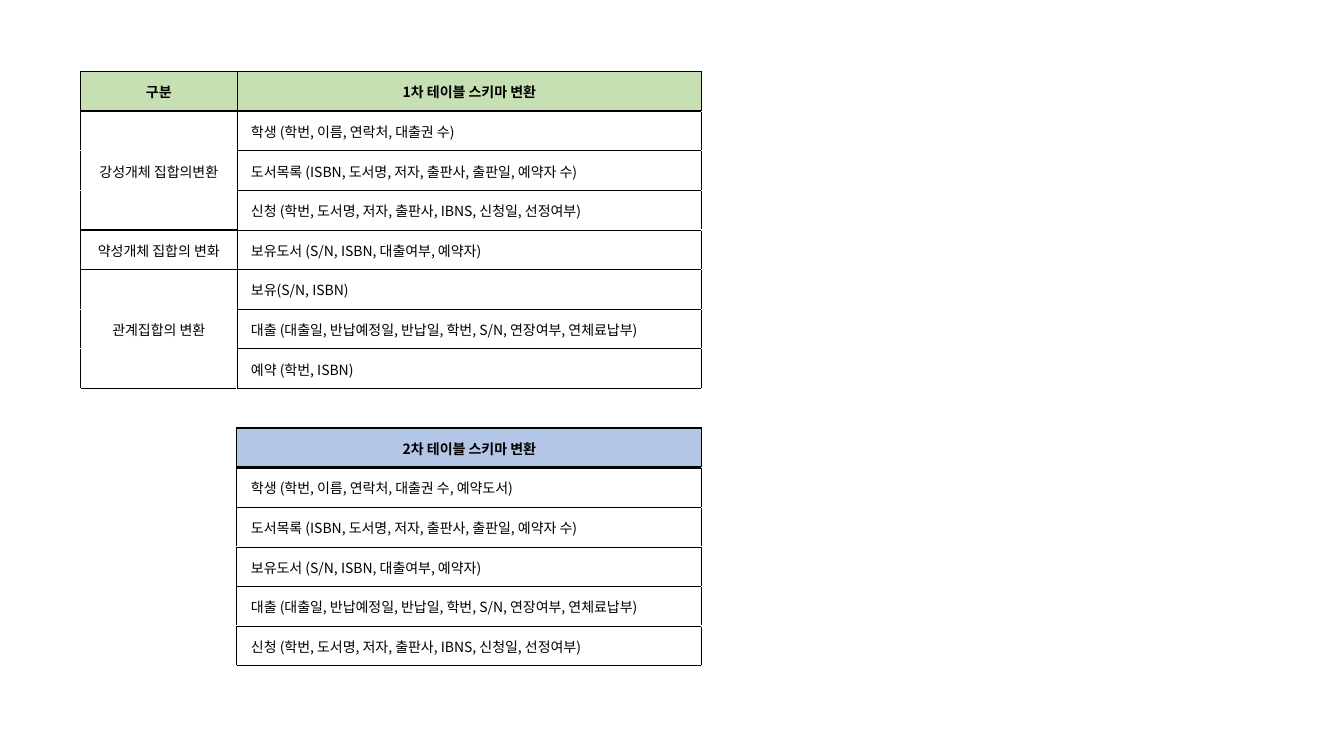
import pptx
import pptx.util
import pptx.dml.color
import pptx.enum.text
import pptx.oxml.ns
from lxml import etree
from pptx.util import Inches

FONT = "Noto Sans CJK KR"
BLACK, WHITE, GREEN, BLUE = "000000", "FFFFFF", "C6E0B4", "B4C6E7"
THIN, OUTER, HEAVY = 0.5, 1, 2
CATEGORY_COL, SCHEMA_COL = 1, 2
LEFT, TOP, WIDTH, HEIGHT = 0.13, 0.49, 7.71, 6.51
COL_WIDTHS = [0.67, 1.55, 4.61, 0.88]
ROW_COUNT, FIRST_ROW_HEIGHT = 17, 0.22

STUDENT = "학생 (학번, 이름, 연락처, 대출권 수)"
STUDENT_RESERVING = "학생 (학번, 이름, 연락처, 대출권 수, 예약도서)"
CATALOGUE = "도서목록 (ISBN, 도서명, 저자, 출판사, 출판일, 예약자 수)"
REQUEST = "신청 (학번, 도서명, 저자, 출판사, IBNS, 신청일, 선정여부)"
HOLDING = "보유도서 (S/N, ISBN, 대출여부, 예약자)"
LOAN = "대출 (대출일, 반납예정일, 반납일, 학번, S/N, 연장여부, 연체료납부)"

FIRST_SCHEMA = [
    ("강성개체 집합의변환", [STUDENT, CATALOGUE, REQUEST]),
    ("약성개체 집합의 변화", [HOLDING]),
    ("관계집합의 변환", ["보유(S/N, ISBN)", LOAN, "예약 (학번, ISBN)"]),
]
SECOND_SCHEMA = [STUDENT_RESERVING, CATALOGUE, HOLDING, LOAN, REQUEST]


def rgb(color):
    return pptx.dml.color.RGBColor.from_string(color)


def add_child(parent, tag, **attrs):
    return etree.SubElement(parent, pptx.oxml.ns.qn(tag), **attrs)


def fill_cell(cell, color):
    cell.fill.solid()
    cell.fill.fore_color.rgb = rgb(color)


def write_cell(cell, text, bold=False, centered=True):
    cell.margin_left = Inches(0.01 if centered else 0.14)
    p = cell.text_frame.paragraphs[0]
    align = pptx.enum.text.PP_ALIGN
    p.alignment = align.CENTER if centered else align.LEFT
    r = p.add_run()
    r.text = text
    r.font.size = pptx.util.Pt(10)
    r.font.bold = bold
    r.font.name = FONT
    r.font.color.rgb = rgb(BLACK)
    add_child(r.font._element, "a:ea", typeface=FONT)


def add_header(table, row, col, text, color):
    cell = table.cell(row, col)
    write_cell(cell, text, bold=True)
    fill_cell(cell, color)


def add_schemas(table, row, schemas):
    for offset, schema in enumerate(schemas):
        write_cell(table.cell(row + offset, SCHEMA_COL), schema, centered=False)


def add_category(table, row, name, count):
    cell = table.cell(row, CATEGORY_COL)
    if count > 1:
        cell.merge(table.cell(row + count - 1, CATEGORY_COL))
    write_cell(cell, name)


def set_horizontal(edges, row, cols, width):
    for col in cols:
        edges[row - 1, col]["B"] = width
        edges[row, col]["T"] = width


def set_vertical(edges, col, rows, width):
    for row in rows:
        edges[row, col - 1]["R"] = width
        edges[row, col]["L"] = width


def draw_borders(cell, sides):
    tc_pr = cell._tc.get_or_add_tcPr()
    for side in "LRTB":
        if side in sides:
            width = str(pptx.util.Pt(sides[side]))
            ln = add_child(tc_pr, "a:ln" + side, w=width)
            add_child(add_child(ln, "a:solidFill"), "a:srgbClr", val=BLACK)


def frame_grid(table):
    edges = {(r, c): {} for r in range(ROW_COUNT) for c in range(len(COL_WIDTHS))}
    both, schema = [CATEGORY_COL, SCHEMA_COL], [SCHEMA_COL]
    for row in [*range(3, 9), *range(12, 16)]:
        set_horizontal(edges, row, schema, THIN)
    for row in (5, 6):
        set_horizontal(edges, row, both, THIN)
    for row, cols, width in [(1, both, OUTER), (2, both, HEAVY), (9, both, OUTER),
                             (10, schema, OUTER), (11, schema, HEAVY), (16, schema, OUTER)]:
        set_horizontal(edges, row, cols, width)
    for col, rows, width in [(1, range(1, 9), OUTER), (2, range(1, 9), THIN),
                             (2, range(10, 16), OUTER), (3, range(1, 9), OUTER),
                             (3, range(10, 16), OUTER)]:
        set_vertical(edges, col, rows, width)
    for (row, col), sides in edges.items():
        draw_borders(table.cell(row, col), sides)


def prepare_cell(cell):
    cell.margin_left = cell.margin_top = cell.margin_right = Inches(0.01)
    cell.margin_bottom = 0
    cell.vertical_anchor = pptx.enum.text.MSO_ANCHOR.MIDDLE
    fill_cell(cell, WHITE)
    add_child(cell.text_frame.paragraphs[0]._p, "a:endParaRPr", sz="1000")


def add_grid(s):
    frame = s.shapes.add_table(ROW_COUNT, len(COL_WIDTHS), Inches(LEFT), Inches(TOP),
                               Inches(WIDTH), Inches(HEIGHT))
    table = frame.table
    table.first_row = False
    table.horz_banding = False
    for column, width in zip(table.columns, COL_WIDTHS):
        column.width = Inches(width)
    row_height = (HEIGHT - FIRST_ROW_HEIGHT) / (ROW_COUNT - 1)
    for i, row in enumerate(table.rows):
        row.height = Inches(row_height if i else FIRST_ROW_HEIGHT)
    frame_grid(table)
    for cell in table.iter_cells():
        prepare_cell(cell)
    return table


def main():
    prs = pptx.Presentation()
    prs.slide_width, prs.slide_height = Inches(13.33), Inches(7.5)
    s = prs.slides.add_slide(prs.slide_layouts[6])
    table = add_grid(s)
    add_header(table, 1, CATEGORY_COL, "구분", GREEN)
    add_header(table, 1, SCHEMA_COL, "1차 테이블 스키마 변환", GREEN)
    row = 2
    for name, schemas in FIRST_SCHEMA:
        add_category(table, row, name, len(schemas))
        add_schemas(table, row, schemas)
        row += len(schemas)
    add_header(table, row + 1, SCHEMA_COL, "2차 테이블 스키마 변환", BLUE)
    add_schemas(table, row + 2, SECOND_SCHEMA)
    prs.save("out.pptx")


if __name__ == "__main__":
    main()
